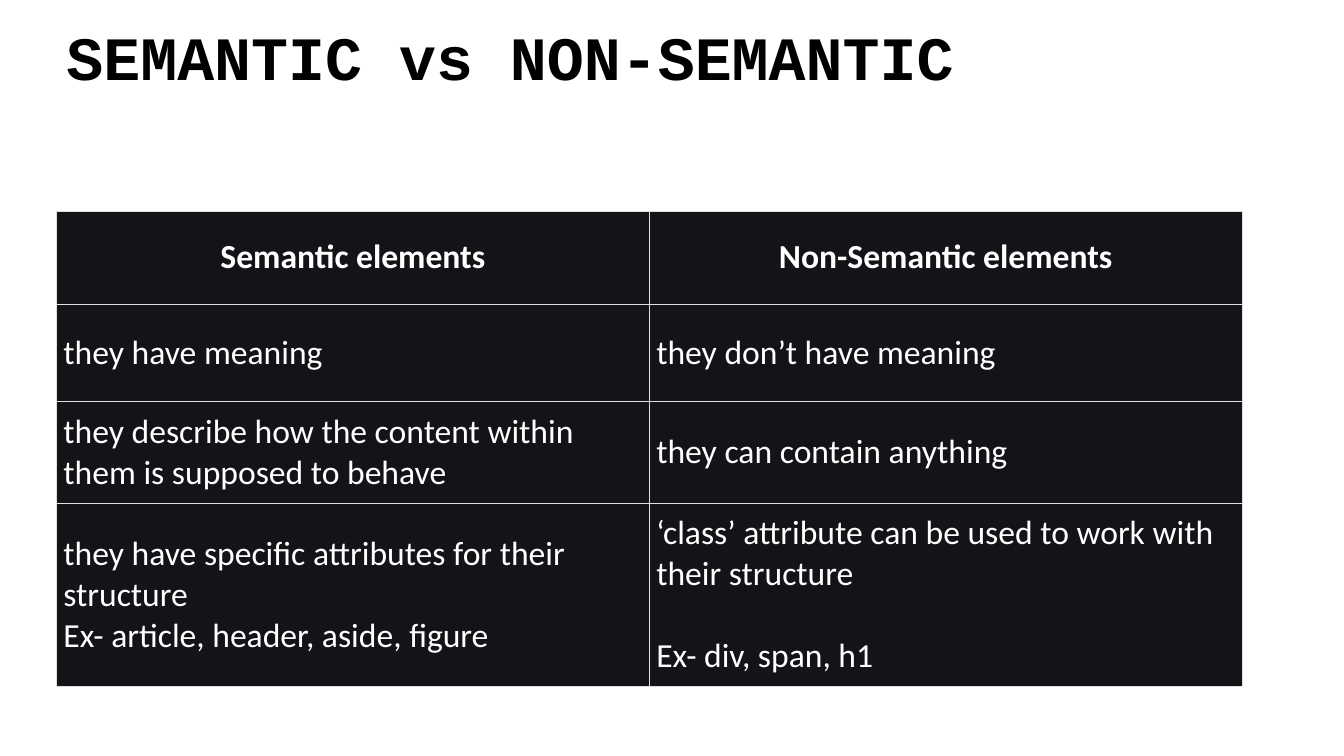
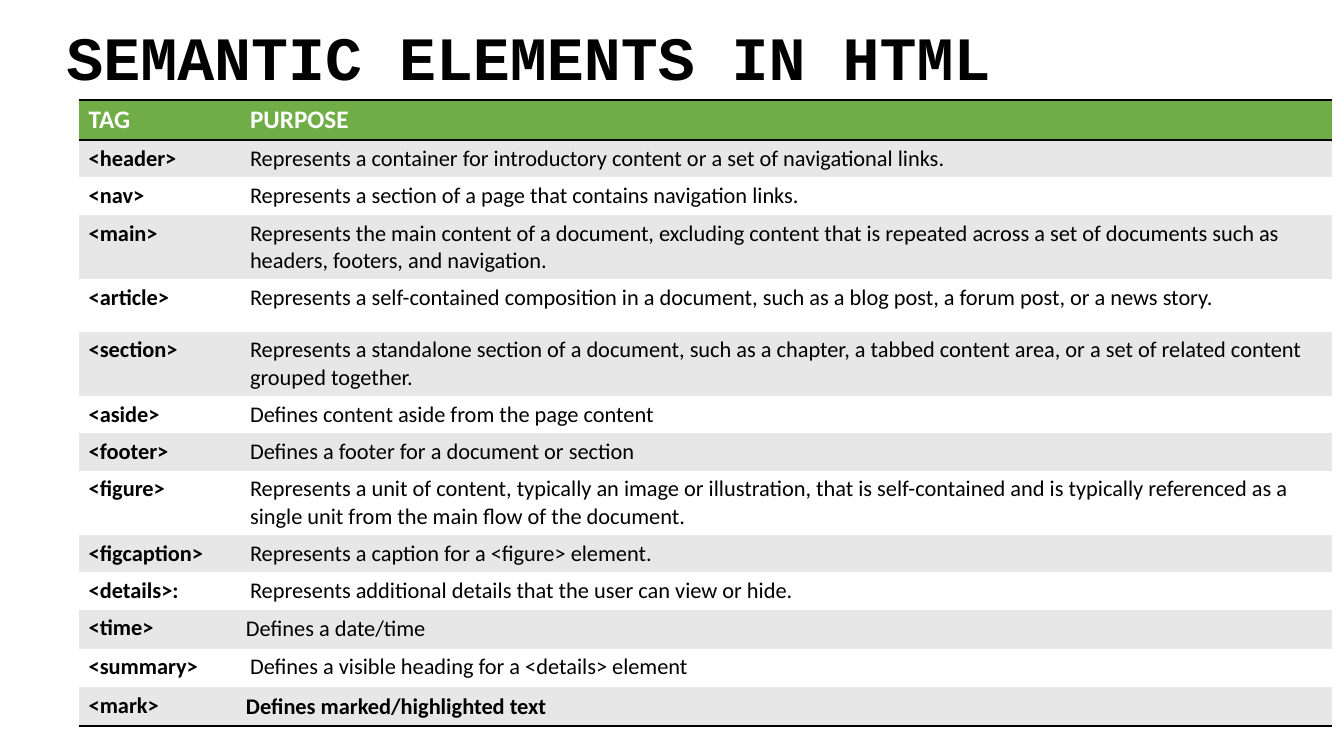
from lxml.etree import SubElement
from pptx import Presentation
from pptx.dml.color import RGBColor
from pptx.enum.text import MSO_ANCHOR, PP_ALIGN
from pptx.oxml.ns import qn
from pptx.util import Inches, Pt

BLACK, WHITE = "000000", "FFFFFF"
DARK, GRID = "131417", "DFDFDF"
GREEN, BAND = "70AD47", "E7E7E7"
TITLE_FONT, BODY_FONT = "Courier New", "Calibri"
NO_STYLE = "{2D5ABB26-0587-4C30-8999-92F81FD0307C}"


def rgb(value):
    return RGBColor.from_string(value)


class Deck:
    """Holds the shared style and the current slide."""

    def __init__(self):
        self.prs = Presentation()
        self.prs.slide_width, self.prs.slide_height = Inches(13.33), Inches(7.5)
        self.slide = None

    def new_slide(self, title):
        self.slide = self.prs.slides.add_slide(self.prs.slide_layouts[6])
        self.slide.background.fill.solid()
        self.slide.background.fill.fore_color.rgb = rgb(WHITE)
        frame = self.slide.shapes.add_textbox(
            Inches(0.56), Inches(0.08), Inches(11.85), Inches(1.05)).text_frame
        frame.word_wrap = True
        frame.vertical_anchor = MSO_ANCHOR.MIDDLE
        paragraph = frame.paragraphs[0]
        paragraph.line_spacing = 0.9
        self.run(paragraph, title, 44, BLACK, True, TITLE_FONT)

    def run(self, paragraph, text, size, color, bold=False, font=BODY_FONT):
        run = paragraph.add_run()
        run.text = text
        run.font.name, run.font.size, run.font.bold = font, Pt(size), bold
        run.font.color.rgb = rgb(color)

    def table(self, left, top, widths, heights):
        table = self.slide.shapes.add_table(
            len(heights), len(widths), Inches(left), Inches(top),
            Inches(sum(widths)), Inches(sum(heights))).table
        table._tbl.tblPr.find(qn("a:tableStyleId")).text = NO_STYLE
        table.horz_banding = False
        for column, width in zip(table.columns, widths):
            column.width = Inches(width)
        for row, height in zip(table.rows, heights):
            row.height = Inches(height)
        return table

    def cell(self, cell, lines, size, color, fill, bold=False, borders="",
             line=(BLACK, 2), margins=(0.1, 0.05), anchor=MSO_ANCHOR.TOP,
             align=PP_ALIGN.LEFT, gap=0):
        """Borders are letters out of LRTB; margins are side and top/bottom."""
        line_color, line_width = line
        properties = cell._tc.get_or_add_tcPr()
        for side in borders:
            border = SubElement(properties, qn("a:ln" + side), w=str(Pt(line_width)))
            solid = SubElement(border, qn("a:solidFill"))
            SubElement(solid, qn("a:srgbClr"), val=line_color)
        cell.fill.solid()
        cell.fill.fore_color.rgb = rgb(fill)
        cell.margin_left = cell.margin_right = Inches(margins[0])
        cell.margin_top = cell.margin_bottom = Inches(margins[1])
        cell.vertical_anchor = anchor
        for i, text in enumerate(lines):
            frame = cell.text_frame
            paragraph = frame.add_paragraph() if i else frame.paragraphs[0]
            paragraph.alignment = align
            if i and gap:
                paragraph.space_before = Pt(gap)
            self.run(paragraph, text, size, color, bold)


COMPARISON = [
    (["Semantic elements"], ["Non-Semantic elements"]),
    (["they have meaning"], ["they don’t have meaning"]),
    (["they describe how the content within them is supposed to behave"],
     ["they can contain anything"]),
    (["they have specific attributes for their structure",
      "Ex- article, header, aside, figure"],
     ["‘class’ attribute can be used to work with their structure",
      "Ex- div, span, h1"]),
]

# Tag, purpose, row height
TAGS = [
    ("TAG", "PURPOSE", 0.4),
    ("<header>", "Represents a container for introductory content or a set of "
     "navigational links.", 0.37),
    ("<nav>", "Represents a section of a page that contains navigation links.", 0.37),
    ("<main>", "Represents the main content of a document, excluding content that is "
     "repeated across a set of documents such as headers, footers, and navigation.", 0.64),
    ("<article>", "Represents a self-contained composition in a document, such as a "
     "blog post, a forum post, or a news story.", 0.52),
    ("<section>", "Represents a standalone section of a document, such as a chapter, a "
     "tabbed content area, or a set of related content grouped together.", 0.64),
    ("<aside>", "Defines content aside from the page content", 0.37),
    ("<footer>", "Defines a footer for a document or section", 0.37),
    ("<figure>", "Represents a unit of content, typically an image or illustration, that "
     "is self-contained and is typically referenced as a single unit from the main flow "
     "of the document.", 0.64),
    ("<figcaption>", "Represents a caption for a <figure> element.", 0.37),
    ("<details>:", "Represents additional details that the user can view or hide.", 0.37),
    ("<time>", "Defines a date/time", 0.38),
    ("<summary>", "Defines a visible heading for a <details> element", 0.38),
    ("<mark>", "Defines marked/highlighted text", 0.38),
]


def comparison_slide(deck):
    deck.new_slide("SEMANTIC vs NON-SEMANTIC")
    comparison = deck.table(0.56, 2.09, [5.88] * 2, [0.93, 0.96, 1.01, 1.82])
    for r, row in enumerate(COMPARISON):
        header = r == 0
        for c, lines in enumerate(row):
            # The examples in the right column stand one line apart
            deck.cell(comparison.cell(r, c), lines, 24, WHITE, DARK, bold=header,
                      borders="LRTB", line=(GRID, 0.15),
                      margins=(0.05, 0.05) if header else (0.07, 0.1),
                      anchor=MSO_ANCHOR.MIDDLE,
                      align=PP_ALIGN.CENTER if header else PP_ALIGN.LEFT,
                      gap=29 if c else 0)


def tags_slide(deck):
    deck.new_slide("SEMANTIC ELEMENTS IN HTML")
    tags = deck.table(0.78, 0.99, [1.6, 10.83], [height for _, _, height in TAGS])
    last = len(TAGS) - 1
    for r, (tag, purpose, _) in enumerate(TAGS):
        header = r == 0
        fill = GREEN if header else BAND if r % 2 else WHITE
        for c, text in enumerate((tag, purpose)):
            narrow = c == 1 and tag in ("<time>", "<mark>")
            deck.cell(tags.cell(r, c), [text], 18 if header else 16,
                      WHITE if header else BLACK, fill,
                      bold=c == 0 or r in (0, last),
                      borders="TB" if header else "B" if r == last else "",
                      margins=(0.06, 0.06) if narrow else (0.1, 0.05))


def main():
    deck = Deck()
    comparison_slide(deck)
    tags_slide(deck)
    deck.prs.save("out.pptx")


if __name__ == "__main__":
    main()
